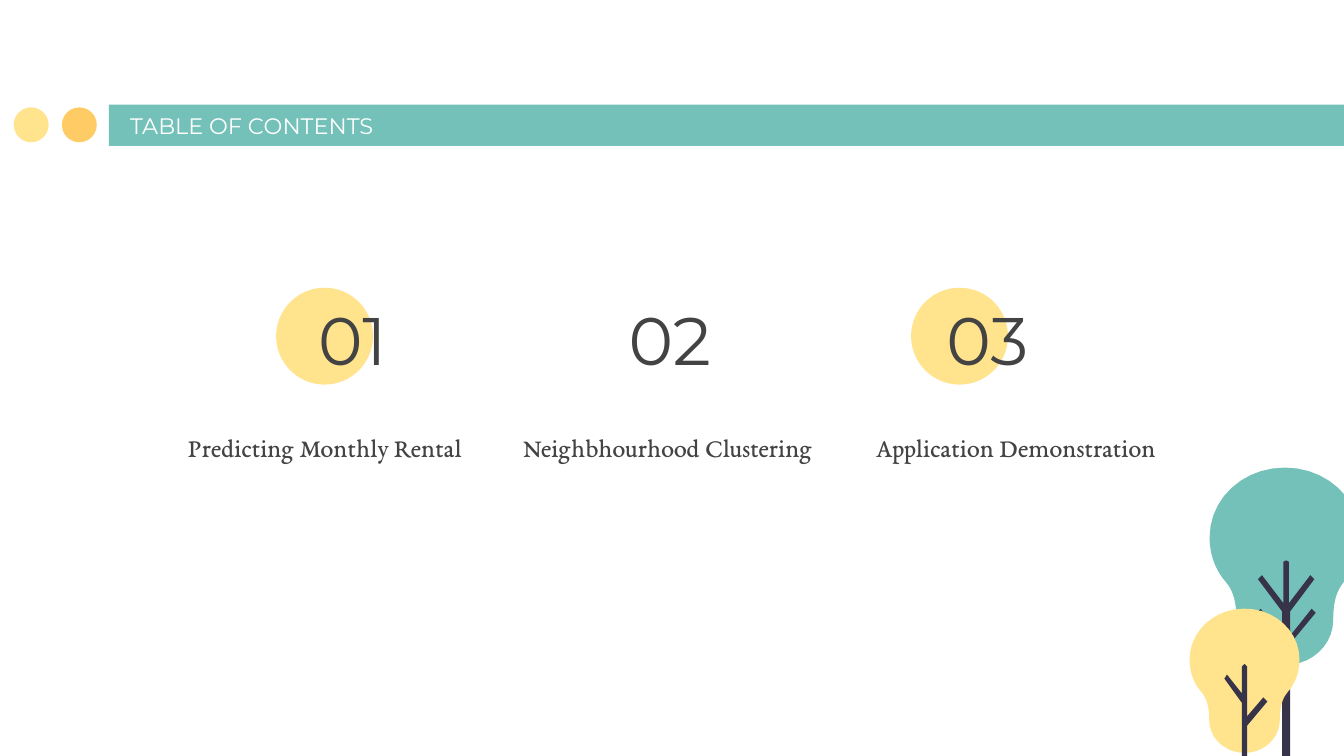
from pptx import Presentation
from pptx.dml.color import RGBColor
from pptx.enum import shapes, text
from pptx.util import Cm, Pt

COLORS = {"teal": "74C1B9", "orange": "FFCB64", "yellow": "FFE48D",
          "white": "FFFFFF", "grey": "434343", "navy": "373449"}
UNIT = Cm(2.54) / 100  # trees are drawn in hundredths of an inch
STEPS = 10             # straight pieces per curve


def paint(sp, color):
    sp.shadow.inherit = False
    sp.fill.solid()
    sp.fill.fore_color.rgb = RGBColor.from_string(COLORS[color])
    sp.line.fill.background()


def write(sp, words, font, size, color, anchor, align):
    tf = sp.text_frame
    tf.text = words
    tf.word_wrap = True
    tf.auto_size = text.MSO_AUTO_SIZE.NONE
    tf.vertical_anchor = anchor
    tf.margin_left = tf.margin_right = tf.margin_top = tf.margin_bottom = Cm(0.25)
    p = tf.paragraphs[0]
    p.alignment = align
    r = p.runs[0]
    r.font.name, r.font.size = font, Pt(size)
    r.font.color.rgb = RGBColor.from_string(COLORS[color])


prs = Presentation()
prs.slide_width, prs.slide_height = Cm(25.4), Cm(14.29)
s = prs.slides.add_slide(prs.slide_layouts[5])

# Header band and dots
bar = s.shapes.add_shape(shapes.MSO_SHAPE.RECTANGLE, Cm(2.06), Cm(1.98), Cm(24.13), Cm(0.78))
paint(bar, "teal")
for x, color in ((1.17, "orange"), (0.26, "yellow")):
    dot = s.shapes.add_shape(shapes.MSO_SHAPE.OVAL, Cm(x), Cm(2.03), Cm(0.66), Cm(0.66))
    paint(dot, color)

# Title, brought in front of the band
title = s.shapes.title
title.left, title.top, title.width, title.height = Cm(2.21), Cm(2.01), Cm(13.92), Cm(0.86)
write(title, "TABLE OF CONTENTS", "Montserrat", 12, "white",
      text.MSO_ANCHOR.BOTTOM, text.PP_ALIGN.LEFT)
title.element.getparent().append(title.element)

# Sections: label, label left, label width, circle behind the number
sections = [("Predicting Monthly Rental", 2.82, 6.65, True),
            ("Neighbhourhood Clustering", 9.4, 6.45, False),
            ("Application Demonstration", 14.96, 8.48, True)]
for i, (label, left, width, circled) in enumerate(sections):
    x = 4.22 + 6 * i
    if circled:
        circle = s.shapes.add_shape(shapes.MSO_SHAPE.OVAL, Cm(x + 1), Cm(5.44), Cm(1.83), Cm(1.83))
        paint(circle, "yellow")
    number = s.shapes.add_textbox(Cm(x), Cm(5.6), Cm(4.88), Cm(1.6))
    write(number, f"{i + 1:02}", "Montserrat", 36, "grey",
          text.MSO_ANCHOR.MIDDLE, text.PP_ALIGN.CENTER)
    caption = s.shapes.add_textbox(Cm(left), Cm(7.39), Cm(width), Cm(1.6))
    write(caption, label, "EB Garamond", 14, "grey",
          text.MSO_ANCHOR.BOTTOM, text.PP_ALIGN.CENTER)

# Left half of a crown, measured from its top: Bézier curves (two controls, end)
crown = [(0, 0)]
for x1, y1, x2, y2, x3, y3 in ((-31, 0, -56, 23, -56, 52), (-56, 64, -52, 76, -44, 85),
                               (-38, 92, -36, 101, -36, 113), (-36, 133, -19, 147, 0, 147)):
    x0, y0 = crown[-1]
    for n in range(1, STEPS + 1):
        t = n / STEPS
        a, b, c, d = (1 - t) ** 3, 3 * t * (1 - t) ** 2, 3 * t ** 2 * (1 - t), t ** 3
        crown.append((a * x0 + b * x1 + c * x2 + d * x3, a * y0 + b * y1 + c * y2 + d * y3))
crown += [(-x, y) for x, y in reversed(crown)]

# Trunks with branches, measured from the tip; the tall one is symmetric
tall = [(0, 0), (-2, 1), (-2, 32), (-18, 11), (-21, 14), (-3, 38), (-3, 56),
        (-19, 36), (-22, 39), (-3, 62), (-3, 168)]
tall += [(-x, y) for x, y in reversed(tall)]
short = [(0, 0), (-2, 2), (-2, 22), (-13, 8), (-15, 11), (-2, 29), (-2, 101),
         (2, 101), (2, 46), (17, 28), (14, 25), (2, 39), (2, 2)]

# Trees, from back to front
for outline, x0, y0, scale, color in ((crown, 956, 348, 1, "teal"), (tall, 957, 417, 1, "navy"),
                                      (crown, 926, 453, 0.73, "yellow"),
                                      (short, 926, 494, 1, "navy")):
    points = [((x0 + scale * x) * UNIT, (y0 + scale * y) * UNIT) for x, y in outline]
    builder = s.shapes.build_freeform(*points[0])
    builder.add_line_segments(points[1:], close=True)
    paint(builder.convert_to_shape(), color)

prs.save("out.pptx")
